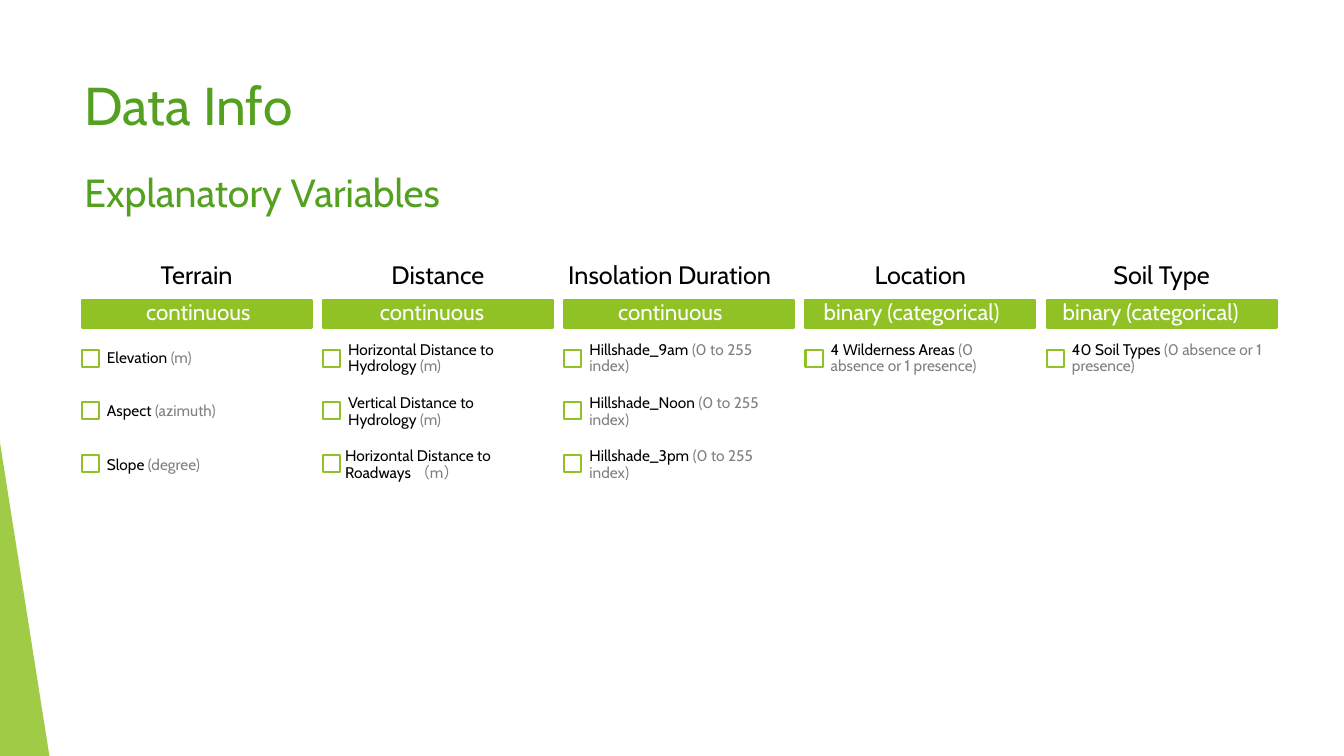
from lxml.etree import SubElement
from pptx import Presentation
from pptx.dml.color import RGBColor
from pptx.enum.shapes import MSO_SHAPE as Shape
from pptx.enum.text import MSO_ANCHOR as Anchor, PP_ALIGN as Align
from pptx.oxml.ns import qn
from pptx.util import Inches, Pt

COLORS = {
    "lime": "90C226",
    "green": "54A021",
    "black": "000000",
    "gray": "808080",
    "white": "FFFFFF",
}

# Heading, heading alignment, data type, data type indent, variables as
# (name, unit, shift); indents and shifts are percentages of the slide width.
GROUPS = [
    ("Terrain", Align.CENTER, "continuous", 4.05, [
        ("Elevation ", "(m)", 0),
        ("Aspect ", "(azimuth)", 0),
        ("Slope ", "(degree)", 0),
    ]),
    ("Distance", Align.CENTER, "continuous", 3.5, [
        ("Horizontal Distance to Hydrology ", "(m)", 0),
        ("Vertical Distance to Hydrology ", "(m)", 0),
        ("Horizontal Distance to Roadways ", "（m）", -0.23),
    ]),
    ("Insolation Duration", Align.LEFT, "continuous", 3.27, [
        ("Hillshade_9am ", "(0 to 255 index)", 0),
        ("Hillshade_Noon ", "(0 to 255 index)", 0),
        ("Hillshade_3pm ", "(0 to 255 index)", 0),
    ]),
    ("Location", Align.CENTER, "binary (categorical)", 0.62, [
        ("4 Wilderness Areas ", "(0 absence or 1 presence)", 0),
    ]),
    ("Soil Type", Align.CENTER, "binary (categorical)", 0.45, [
        ("40 Soil Types ", "(0 absence or 1 presence)", 0),
    ]),
]
FIRST_COLUMN, COLUMN_PITCH, COLUMN_WIDTH = 6.08, 17.95, 17.1


class Board:
    """Draws on one slide; every place is (x, y, w, h) in percent of it."""

    font = "Cabin"

    def __init__(self, deck):
        self.width, self.height = deck.slide_width, deck.slide_height
        self.slide = deck.slides.add_slide(deck.slide_layouts[6])

    def measure(self, place):
        sides = (self.width, self.height) * 2
        return [round(share * side / 100) for share, side in zip(place, sides)]

    def color(self, name):
        return RGBColor.from_string(COLORS[name])

    def shape(self, kind, place, fill, line=None, opacity=100):
        shape = self.slide.shapes.add_shape(kind, *self.measure(place))
        shape.shadow.inherit = False
        shape.fill.solid()
        shape.fill.fore_color.rgb = self.color(fill)
        if opacity < 100:
            tint = shape.fill._xPr.find(".//" + qn("a:srgbClr"))
            SubElement(tint, qn("a:alpha"), val=str(opacity * 1000))
        if line:
            shape.line.color.rgb = self.color(line)
            shape.line.width = Pt(1.5)
        else:
            shape.line.fill.background()
        return shape

    def text(self, place, runs, size, align=Align.LEFT, anchor=Anchor.TOP,
             insets=(0.1, 0.05), spacing=1.0):
        frame = self.slide.shapes.add_textbox(*self.measure(place)).text_frame
        frame.word_wrap = True
        frame.vertical_anchor = anchor
        frame.margin_left = frame.margin_right = Inches(insets[0])
        frame.margin_top = frame.margin_bottom = Inches(insets[1])
        paragraph = frame.paragraphs[0]
        paragraph.alignment = align
        paragraph.line_spacing = spacing
        for words, color in runs:
            run = paragraph.add_run()
            run.text = words
            run.font.name = self.font
            run.font.size = Pt(size)
            run.font.color.rgb = self.color(color)

    def variable(self, left, row, name, unit, shift):
        self.shape(Shape.RECTANGLE, (left, 46.27 + 6.93 * row, 1.28, 2.27),
                   "white", "lime")
        self.text((left + 1.2 + shift, 44.8 + 7.07 * row, 15.9, 5.2),
                  [(name, "black"), (unit, "gray")], 11,
                  anchor=Anchor.MIDDLE, insets=(0.09, 0.09), spacing=0.9)

    def group(self, column, heading, align, data_type, indent, variables):
        left = FIRST_COLUMN + COLUMN_PITCH * column
        self.text((left, 33.33, COLUMN_WIDTH, 6.4), [(heading, "black")], 18,
                  align, Anchor.MIDDLE, insets=(0.04, 0.03), spacing=0.9)
        self.shape(Shape.RECTANGLE, (left, 39.73, COLUMN_WIDTH, 3.6),
                   "lime", "lime")
        self.text((left + indent, 38.8, 16.5, 4.93),
                  [(data_type, "white")], 16)
        for row, variable in enumerate(variables):
            self.variable(left, row, *variable)


def main():
    deck = Presentation()
    deck.slide_width, deck.slide_height = Inches(13.33), Inches(7.5)
    board = Board(deck)
    wedge = board.shape(Shape.ISOSCELES_TRIANGLE, (0, 58.53, 3.68, 41.47),
                        "lime", opacity=85)
    wedge.adjustments[0] = 0
    board.text((5.55, 8.93, 70.5, 12), [("Data Info", "green")], 38)
    board.text((5.55, 21.6, 29.9, 7.6), [("Explanatory Variables", "green")], 28)
    for column, group in enumerate(GROUPS):
        board.group(column, *group)
    deck.save("out.pptx")


if __name__ == "__main__":
    main()
